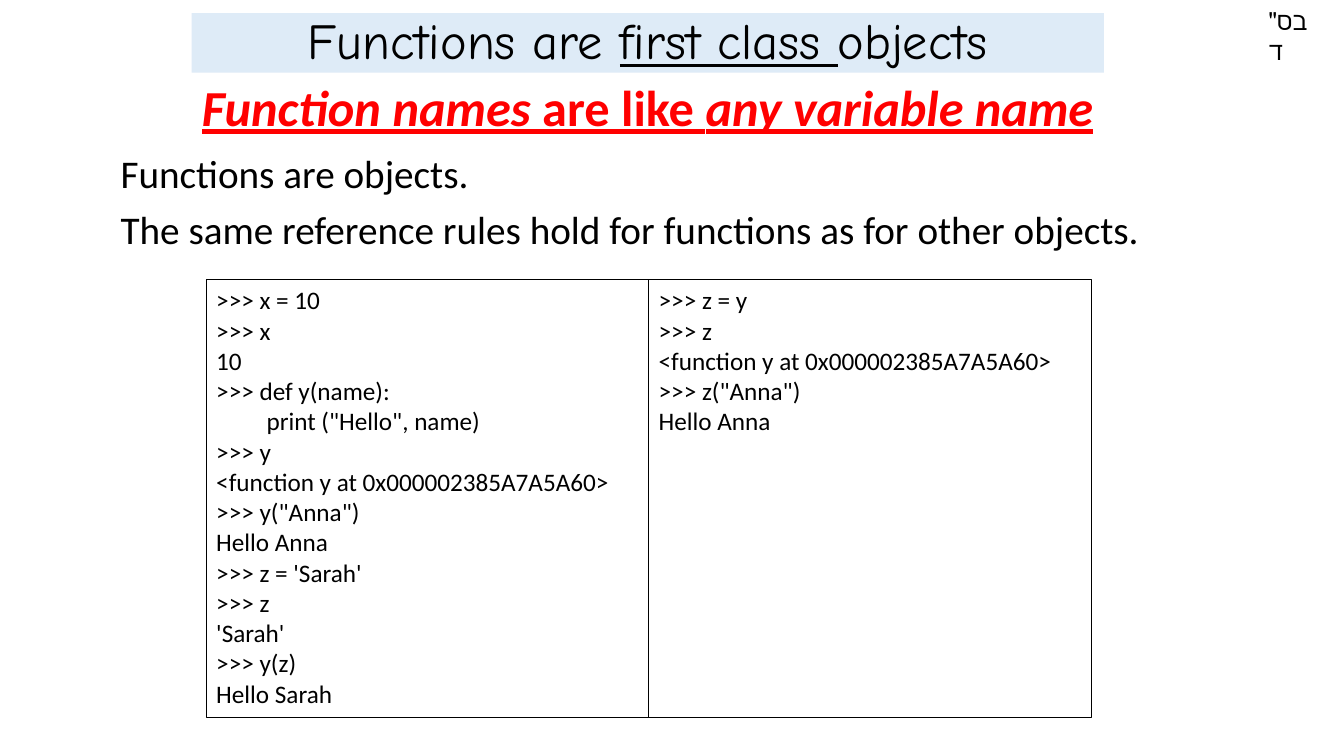
from pptx import Presentation, util as u
from pptx.dml import color
from pptx.enum import shapes, text

CALIBRI = {"name": "Calibri", "size": u.Pt(18)}
HEADING = {"name": "Comic Neue", "size": u.Pt(36)}
SUBHEADING = {"name": "Calibri", "size": u.Pt(36), "bold": True, "underline": True}
BODY = {"name": "Calibri", "size": u.Pt(28)}
ITALIC = {"italic": True}
UNDERLINE = {"underline": True}

VARIABLE_SESSION = """>>> x = 10
>>> x
10
>>> def y(name):
\tprint ("Hello", name)
>>> y
<function y at 0x000002385A7A5A60>
>>> y("Anna")
Hello Anna
>>> z = 'Sarah'
>>> z
'Sarah'
>>> y(z)
Hello Sarah"""
ALIAS_SESSION = """>>> z = y
>>> z
<function y at 0x000002385A7A5A60>
>>> z("Anna")
Hello Anna"""


def rgb(value):
    """Turn a hex string into a colour."""
    return color.RGBColor.from_string(value)


def set_all(obj, values):
    """Set each attribute named in a dict."""
    for name, value in values.items():
        setattr(obj, name, value)


def write(tf, lines, font, ink="000000", para=None, anchor=text.MSO_ANCHOR.TOP):
    """Fill a text frame with lines, each a list of (text, extra format) runs."""
    set_all(tf, {"word_wrap": True, "vertical_anchor": anchor})
    for i, runs in enumerate(lines):
        p = tf.add_paragraph() if i else tf.paragraphs[0]
        set_all(p, {"alignment": text.PP_ALIGN.LEFT, **(para or {})})
        for words, extra in runs:
            r = p.add_run()
            r.text = words
            set_all(r.font, {**font, **extra})
            r.font.color.rgb = rgb(ink)


def rectangle(parent, box, fill=None, line=None):
    """Add a flat rectangle with an optional fill and outline."""
    sp = parent.shapes.add_shape(shapes.MSO_SHAPE.RECTANGLE, *box)
    sp.shadow.inherit = False
    if fill:
        sp.fill.solid()
        sp.fill.fore_color.rgb = rgb(fill)
    else:
        sp.fill.background()
    if line:
        sp.line.color.rgb = rgb(line)
        sp.line.width = u.Pt(0.75)
    else:
        sp.line.fill.background()
    return sp


def banner(s, box, runs, font, ink, fill):
    """Place a centred one-line heading on a filled band."""
    sp = rectangle(s, box, fill=fill)
    para = {"alignment": text.PP_ALIGN.CENTER, "line_spacing": 0.9}
    write(sp.text_frame, [runs], font, ink, para, text.MSO_ANCHOR.MIDDLE)


def text_block(s, box, lines, font, para=None):
    """Place plain lines of text in a box."""
    tf = s.shapes.add_textbox(*box).text_frame
    write(tf, [[(line, {})] for line in lines], font, para=para)


def code_panels(s, box, sessions):
    """Split a box into equal outlined columns, one for each session."""
    left, top, width, height = box
    column = width // len(sessions)
    group = s.shapes.add_group_shape()
    for i, session in enumerate(sessions):
        sp = rectangle(group, (left + i * column, top, column, height), line="000000")
        write(sp.text_frame, [[(line, {})] for line in session.split("\n")], CALIBRI)


def cm_box(*lengths):
    """Convert left, top, width and height to Cm."""
    return [u.Cm(length) for length in lengths]


def main():
    """Build the slide and save it."""
    prs = Presentation()
    set_all(prs, {"slide_width": u.Cm(33.87), "slide_height": u.Cm(19.05)})
    s = prs.slides.add_slide(prs.slide_layouts[6])
    text_block(s, cm_box(31.72, 0, 1.78, 1.02), ['בס"ד'], CALIBRI)
    banner(s, cm_box(4.83, 2.03, 22.99, 1.5),
           [("Function", ITALIC), (" ", {}), ("names", ITALIC), (" are like ", {}),
            ("any", ITALIC), (" ", {}), ("variable name", ITALIC)],
           SUBHEADING, "FF0000", "FFFFFF")
    text_block(s, cm_box(2.79, 3.76, 27.08, 3.02),
               ["Functions are objects.",
                "The same reference rules hold for functions as for other objects."],
               BODY, {"line_spacing": 0.9, "space_before": u.Pt(10)})
    banner(s, cm_box(4.83, 0.33, 22.99, 1.5),
           [("Functions are ", {}), ("first class ", UNDERLINE), ("objects", {})],
           HEADING, "000000", "DEEBF7")
    code_panels(s, cm_box(5.2, 7.05, 22.3, 11.02), [VARIABLE_SESSION, ALIAS_SESSION])
    prs.save("out.pptx")


if __name__ == "__main__":
    main()
